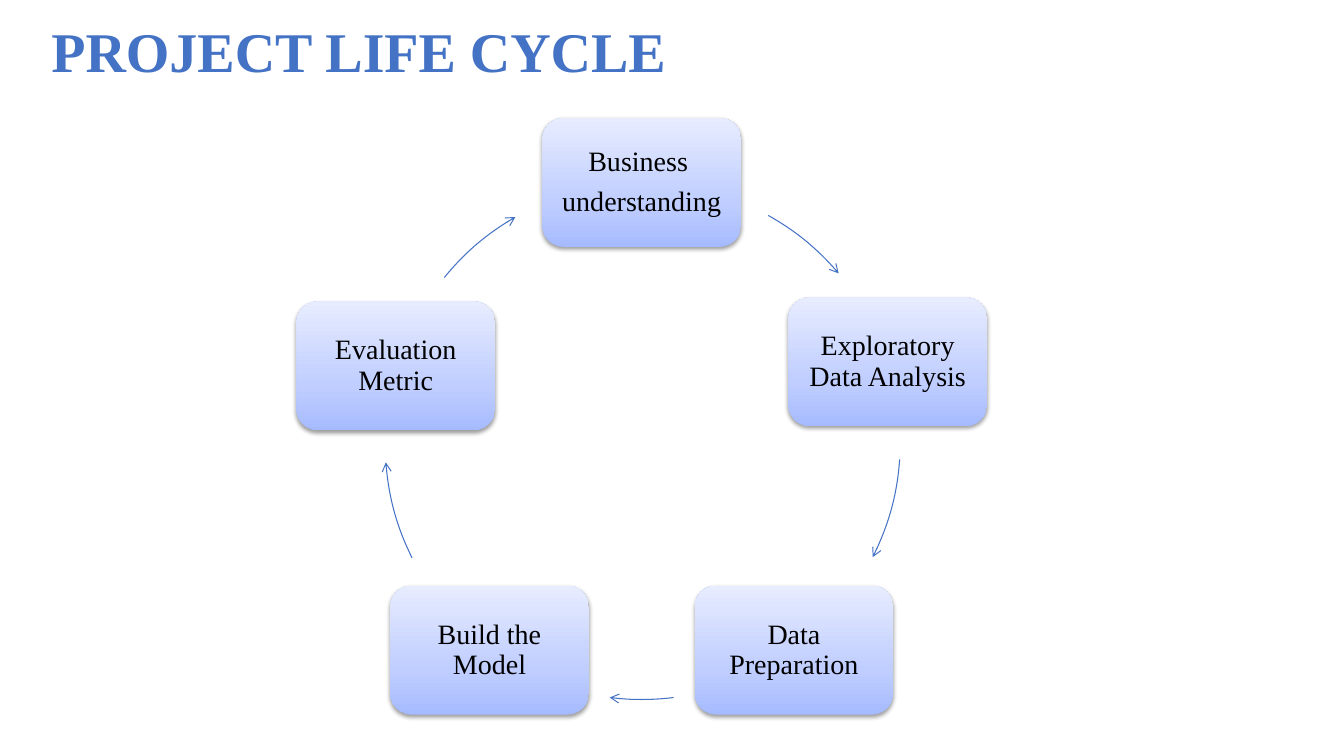
from dataclasses import dataclass

from lxml.etree import SubElement
from pptx import Presentation
from pptx.dml.color import RGBColor
from pptx.enum.shapes import MSO_SHAPE
from pptx.enum.text import MSO_ANCHOR, PP_ALIGN
from pptx.oxml import parse_xml
from pptx.oxml.ns import nsdecls, qn
from pptx.slide import Slide
from pptx.util import Inches, Pt

BLUE = RGBColor(0x44, 0x72, 0xC4)
BLACK = RGBColor(0x00, 0x00, 0x00)
DEEP = RGBColor(0xA6, 0xBB, 0xFF)
MID = RGBColor(0xC0, 0xCE, 0xFF)
PALE = RGBColor(0xE7, 0xEC, 0xFF)
STOPS = ((0, DEEP), (35, MID), (100, PALE))
FONT = "Times New Roman"
BOX_W, BOX_H, RING = 1.97, 1.28, 5.13


@dataclass
class Step:
    """A stage of the cycle, at its top left corner."""
    left: float
    top: float
    text: str


@dataclass
class Arc:
    """A clockwise arrow on the ring, with angles in degrees."""
    left: float
    top: float
    start: float
    end: float


STEPS = (
    Step(5.38, 1.17, "Business \nunderstanding"),
    Step(7.82, 2.95, "Exploratory Data Analysis"),
    Step(6.89, 5.81, "Data Preparation"),
    Step(3.87, 5.81, "Build the Model"),
    Step(2.94, 2.99, "Evaluation Metric"),
)
ARCS = (
    Arc(3.8, 1.81, 299.3, 319.6),
    Arc(3.8, 1.81, 4.1, 26.7),
    Arc(3.8, 1.81, 82.9, 97.1),
    Arc(3.82, 1.83, 153.6, 175.7),
    Arc(3.83, 1.81, 219.2, 240),
)


def add_step(slide: Slide, step: Step) -> None:
    box = slide.shapes.add_shape(
        MSO_SHAPE.ROUNDED_RECTANGLE, Inches(step.left), Inches(step.top),
        Inches(BOX_W), Inches(BOX_H))
    box.line.fill.background()

    # Gradient from bottom to top, and a soft shadow below
    stops = "".join(
        f'<a:gs pos="{pos * 1000}"><a:srgbClr val="{color}"/></a:gs>'
        for pos, color in STOPS)
    props = box._element.spPr
    props.find(qn("a:prstGeom")).addnext(parse_xml(
        f'<a:gradFill {nsdecls("a")} rotWithShape="1"><a:gsLst>{stops}</a:gsLst>'
        '<a:lin ang="16200000" scaled="0"/></a:gradFill>'))
    props.append(parse_xml(
        f'<a:effectLst {nsdecls("a")}><a:outerShdw blurRad="40000" dist="20000" '
        'dir="5400000" rotWithShape="0"><a:srgbClr val="000000">'
        '<a:alpha val="38000"/></a:srgbClr></a:outerShdw></a:effectLst>'))

    # Label
    frame = box.text_frame
    frame.word_wrap = True
    frame.vertical_anchor = MSO_ANCHOR.MIDDLE
    frame.margin_left = frame.margin_right = Inches(0.08)
    frame.margin_top = frame.margin_bottom = Inches(0.08)
    frame.text = step.text
    for para in frame.paragraphs:
        para.alignment = PP_ALIGN.CENTER
        para.line_spacing = 0.9
        para.space_after = Pt(7)
        para.font.name = FONT
        para.font.size = Pt(20)
        para.font.color.rgb = BLACK


def add_arc(slide: Slide, arc: Arc) -> None:
    curve = slide.shapes.add_shape(
        MSO_SHAPE.ARC, Inches(arc.left), Inches(arc.top),
        Inches(RING), Inches(RING))
    # Angles are stored as 60000ths of a degree, scaled by 100000
    curve.adjustments[0] = arc.start * 0.6
    curve.adjustments[1] = arc.end * 0.6
    curve.shadow.inherit = False
    curve.fill.background()
    curve.line.color.rgb = BLUE
    curve.line.width = Pt(0.75)
    SubElement(curve.line._get_or_add_ln(), qn("a:tailEnd"), type="arrow")


def add_title(slide: Slide, text: str) -> None:
    box = slide.shapes.add_textbox(
        Inches(0.29), Inches(0.12), Inches(6.67), Inches(1.16))
    frame = box.text_frame
    frame.word_wrap = True
    frame.margin_left = Inches(0.22)
    frame.margin_top = Inches(0.04)
    frame.text = text
    para = frame.paragraphs[0]
    para.font.name = FONT
    para.font.size = Pt(40)
    para.font.bold = True
    para.font.color.rgb = BLUE


def main() -> None:
    deck = Presentation()
    deck.slide_width, deck.slide_height = Inches(13.33), Inches(7.5)
    slide = deck.slides.add_slide(deck.slide_layouts[6])

    # Cycle of steps, each followed by its arrow
    for step, arc in zip(STEPS, ARCS):
        add_step(slide, step)
        add_arc(slide, arc)

    add_title(slide, "PROJECT LIFE CYCLE")
    deck.save("out.pptx")


if __name__ == "__main__":
    main()
